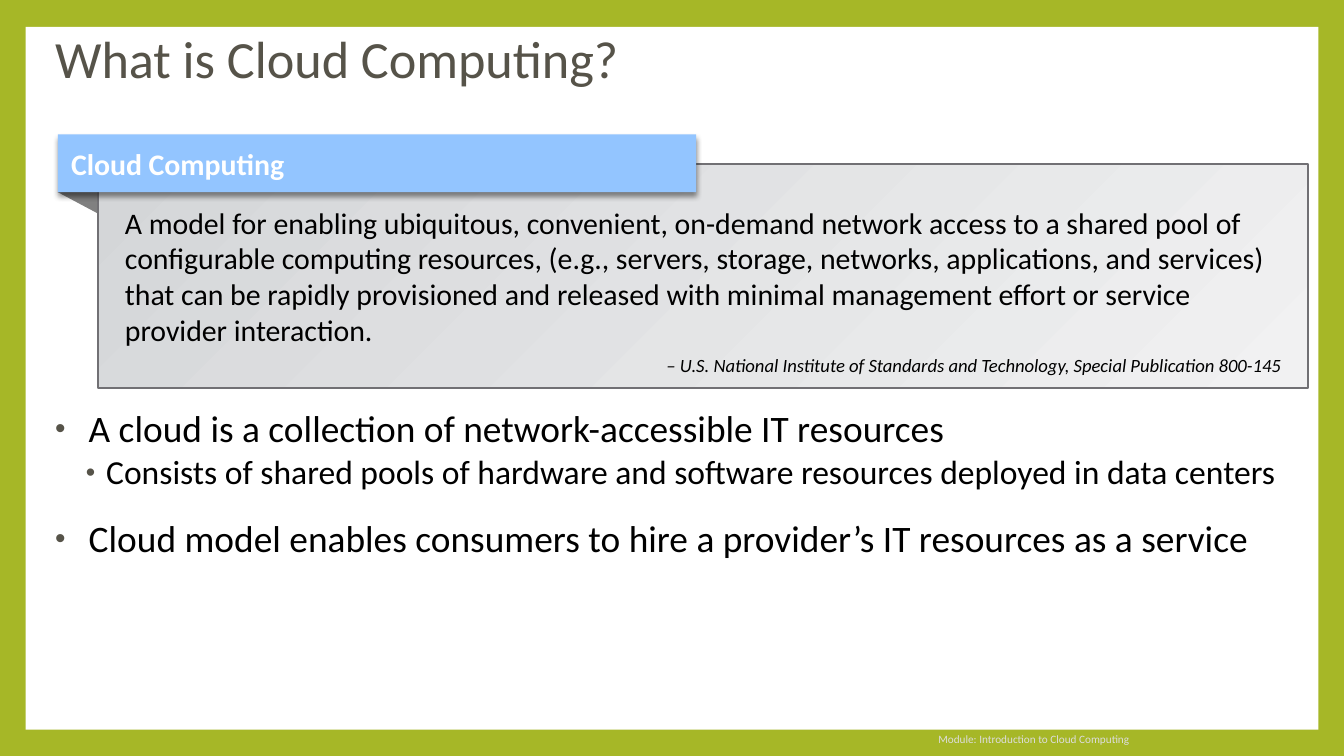
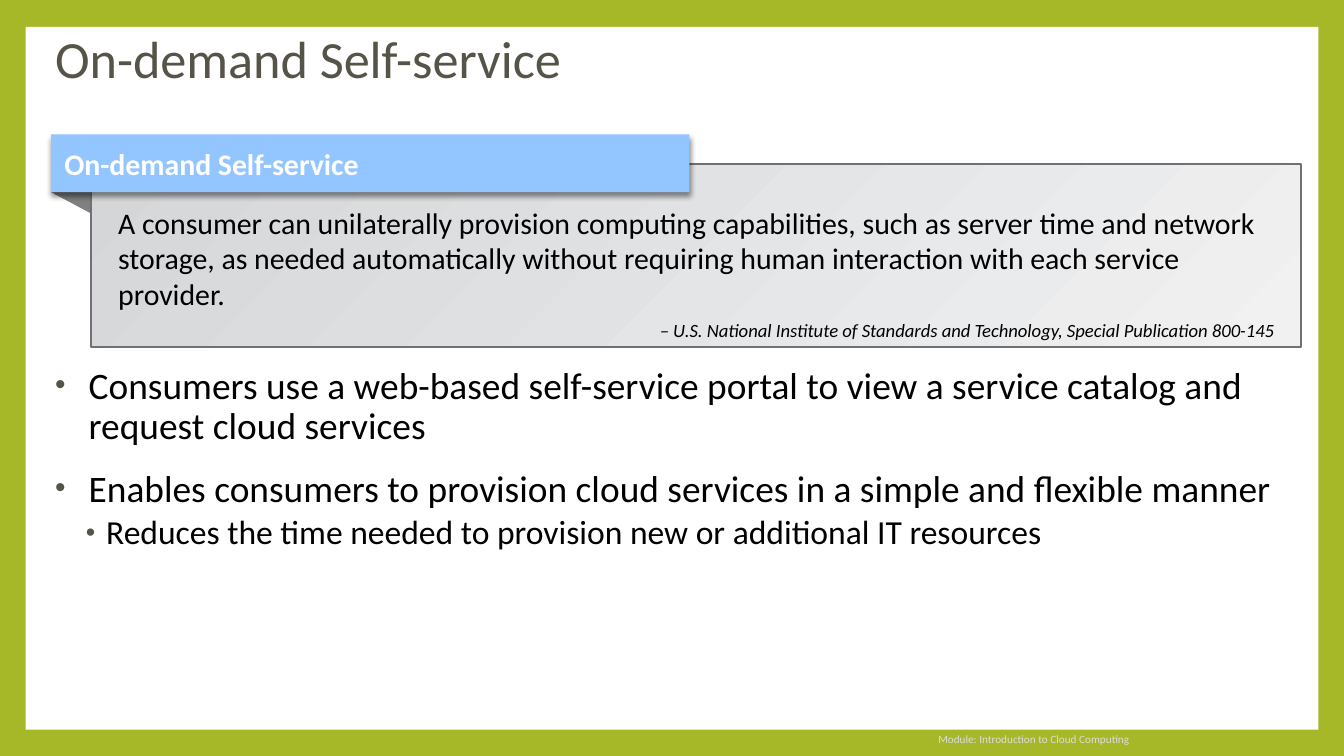
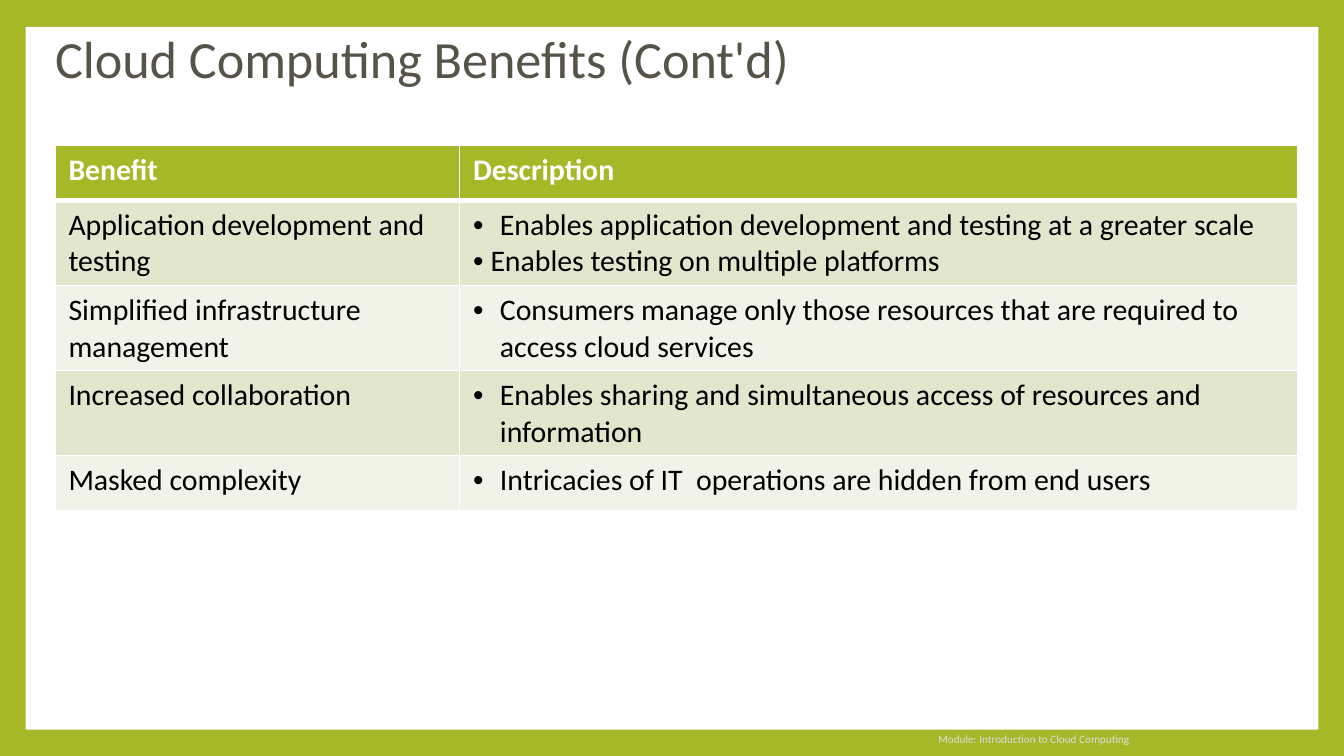
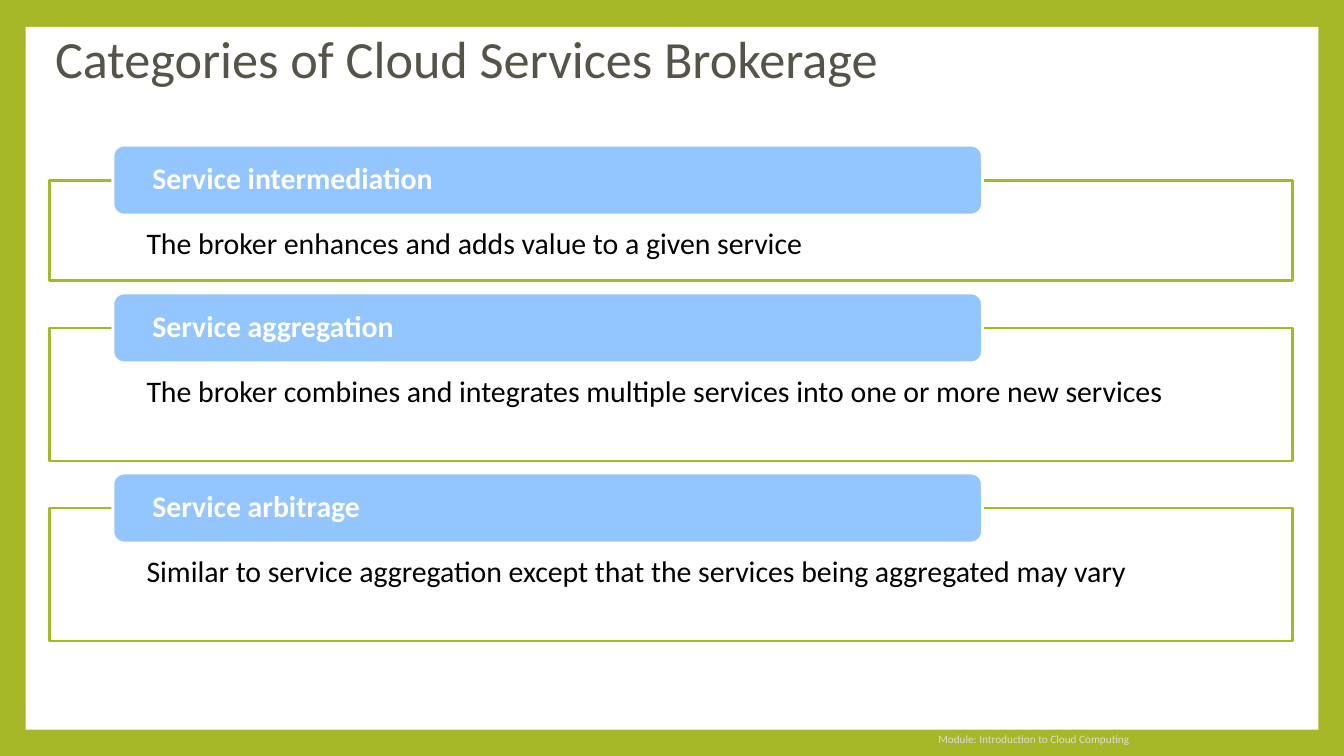
from lxml.etree import SubElement
from pptx import Presentation
from pptx.dml.color import RGBColor
from pptx.enum.shapes import MSO_SHAPE as Shape
from pptx.enum.text import MSO_ANCHOR as Anchor, PP_ALIGN as Align
from pptx.oxml.ns import qn
from pptx.util import Inches, Pt

GREEN = RGBColor(0xA6, 0xB7, 0x27)
WHITE = RGBColor(0xFF, 0xFF, 0xFF)
BLACK = RGBColor(0x00, 0x00, 0x00)
OLIVE = RGBColor(0x56, 0x53, 0x49)
SKY = RGBColor(0x93, 0xC5, 0xFF)
PALE = RGBColor(0xDD, 0xDD, 0xDD)
FOLD_GREY = RGBColor(0x80, 0x80, 0x80)
EDGE_GREY = RGBColor(0x71, 0x70, 0x74)
PANEL_DARK = RGBColor(0xD4, 0xD6, 0xD8)
PANEL_LIGHT = RGBColor(0xF1, 0xF1, 0xF2)
BANDS = (RGBColor(0xE1, 0xE6, 0xCD), RGBColor(0xF1, 0xF3, 0xE8))

FONT = "Calibri"
FOOTER = "Module: Introduction to Cloud Computing"
NIST = "– U.S. National Institute of Standards and Technology, Special Publication 800-145"

# The grid has square cells: 100 columns by 56.25 rows.
CELL = Inches(0.1)
COLUMNS, ROWS = 100, 56.25
LEFT, WIDTH = 4.1, 92.5


def grid(*lengths):
    return [round(CELL * length) for length in lengths]


def add_xml(parent, tag, **attributes):
    return SubElement(parent, qn(tag), {key: str(value) for key, value in attributes.items()})


class Page:
    """Holds the deck's style and the slide being drawn."""

    def __init__(self, deck, title):
        self.slide = deck.slides.add_slide(deck.slide_layouts[6])
        background = self.slide.background.fill
        background.solid()
        background.fore_color.rgb = GREEN
        self.shape(1.9, 2, 96.2, 52.3, fill=WHITE)
        heading = self.text_box(LEFT, 2.5, WIDTH, 5)
        self.paragraph(heading, title, 28, OLIVE, leading=0.9)
        footer = self.text_box(28.3, 54.2, 56.7, 1.5, (1, 0.5, 1, 0.5), Anchor.MIDDLE)
        self.paragraph(footer, FOOTER, 6, PALE, align=Align.RIGHT)

    def frame(self, holder, insets, anchor):
        frame = holder.text_frame
        frame.word_wrap = True
        frame.vertical_anchor = anchor
        (frame.margin_left, frame.margin_top,
         frame.margin_right, frame.margin_bottom) = grid(*insets)
        return frame

    def text_box(self, x, y, width, height, insets=(0, 0, 0, 0), anchor=Anchor.TOP):
        box = self.slide.shapes.add_textbox(*grid(x, y, width, height))
        return self.frame(box, insets, anchor)

    def shape(self, x, y, width, height, kind=Shape.RECTANGLE, fill=None, line=None, weight=1):
        shape = self.slide.shapes.add_shape(kind, *grid(x, y, width, height))
        self.paint(shape, fill, line, weight)
        return shape

    def paint(self, shape, fill, line=None, weight=1):
        shape.shadow.inherit = False
        if fill is not None:
            shape.fill.solid()
            shape.fill.fore_color.rgb = fill
        if line is None:
            shape.line.fill.background()
        else:
            shape.line.color.rgb = line
            shape.line.width = Pt(weight)

    def paragraph(self, frame, text, size, color=BLACK, bold=False, italic=False,
                  align=Align.LEFT, leading=None, before=0, after=0):
        """Fill the first paragraph if it is empty, else add one."""
        para = frame.paragraphs[0]
        if para.runs:
            para = frame.add_paragraph()
        para.alignment = align
        para.line_spacing = leading
        para.space_before, para.space_after = Pt(before), Pt(after)
        span = para.add_run()
        span.text = text
        font = span.font
        font.name, font.size, font.bold, font.italic = FONT, Pt(size), bold, italic
        font.color.rgb = color
        return para

    def bullet(self, para, margin, hang, color=None, percent=100):
        properties = para._p.get_or_add_pPr()
        margin, hang = grid(margin, hang)
        properties.set("marL", str(margin))
        properties.set("indent", str(-hang))
        if color is not None:
            add_xml(add_xml(properties, "a:buClr"), "a:srgbClr", val=color)
        add_xml(properties, "a:buSzPct", val=percent * 1000)
        add_xml(properties, "a:buFont", typeface="Arial")
        add_xml(properties, "a:buChar", char="•")

    def bullets(self, y, items):
        """Add (level, text) items to the body area."""
        body = self.text_box(LEFT, y, WIDTH, 48.3 - y)
        for level, text in items:
            if level == 0:
                para = self.paragraph(body, text, 20, leading=0.9, before=12)
                self.bullet(para, 2.5, 2.5, OLIVE, 80)
            else:
                para = self.paragraph(body, text, 18, leading=0.9, before=3, after=3)
                para.level = 1
                self.bullet(para, 3.8, 1.5, OLIVE, 80)

    def definition(self, x, height, term, meaning):
        """Draw a ribbon with a folded end over a quoted definition."""
        top, ribbon_height, fold = 10, 4.3, 3
        ribbon_bottom = top + ribbon_height
        outline = self.slide.shapes.build_freeform(*grid(x, ribbon_bottom))
        outline.add_line_segments([grid(x + fold, ribbon_bottom),
                                   grid(x + fold, ribbon_bottom + 1.6)])
        self.paint(outline.convert_to_shape(), FOLD_GREY)

        panel = self.shape(x + fold, 12.2, 90, height, line=EDGE_GREY)
        panel.fill.gradient()
        panel.fill.gradient_angle = 315
        for stop, color in zip(panel.fill.gradient_stops, (PANEL_DARK, PANEL_LIGHT)):
            stop.color.rgb = color
        quote = self.frame(panel, (2, 3, 2, 0.5), Anchor.TOP)
        self.paragraph(quote, meaning, 16)
        self.paragraph(quote, NIST, 10, italic=True, align=Align.RIGHT, before=3.6)

        ribbon = self.shape(x, top, 47.5, ribbon_height, fill=SKY)
        self.drop_shadow(ribbon)
        label = self.frame(ribbon, (1, 0.5, 1, 0.5), Anchor.MIDDLE)
        self.paragraph(label, term, 16, WHITE, bold=True)

    def drop_shadow(self, shape):
        effects = shape._element.spPr.find(qn("a:effectLst"))
        shadow = add_xml(effects, "a:outerShdw", blurRad=Pt(3), dist=Pt(2),
                         dir=90 * 60000, algn="t", rotWithShape=0)
        add_xml(add_xml(shadow, "a:srgbClr", val=BLACK), "a:alpha", val=45000)

    def table(self, y, widths, row_height, header, rows):
        """Each row is a name and a list of (text, hanging indent) points."""
        count = len(rows) + 1
        table = self.slide.shapes.add_table(
            count, len(widths), *grid(LEFT, y, sum(widths), row_height * count)).table
        table.horz_banding = False
        for column, width in zip(table.columns, grid(*widths)):
            column.width = width
        for cell, text in zip(table.rows[0].cells, header):
            self.style_cell(cell, GREEN, below=3)
            self.paragraph(cell.text_frame, text, 16, WHITE, bold=True)
        for index, (name, points) in enumerate(rows):
            name_cell, points_cell = table.rows[index + 1].cells
            for cell in (name_cell, points_cell):
                self.style_cell(cell, BANDS[index % 2], above=1 if index else 3)
            self.paragraph(name_cell.text_frame, name, 16)
            for text, hang in points:
                self.bullet(self.paragraph(points_cell.text_frame, text, 16), hang, hang)

    def style_cell(self, cell, fill, above=1, below=1):
        properties = cell._tc.get_or_add_tcPr()
        for side, weight in zip("LRTB", (1, 1, above, below)):
            border = add_xml(properties, f"a:ln{side}", w=Pt(weight))
            add_xml(add_xml(border, "a:solidFill"), "a:srgbClr", val=WHITE)
        cell.fill.solid()
        cell.fill.fore_color.rgb = fill

    def category(self, y, height, name, meaning):
        """Draw an outlined panel with a rounded tab across its top edge."""
        panel = self.shape(3.7, y, WIDTH, height, fill=WHITE, line=GREEN, weight=1.5)
        text = self.frame(panel, (7.2, 3.6, 7.2, 1.2), Anchor.TOP)
        self.paragraph(text, meaning, 16, leading=0.9)
        tab = self.shape(8.4, y - 2.6, 64.7, 5.2, Shape.ROUNDED_RECTANGLE, SKY, WHITE, 1.5)
        tab.adjustments[0] = 0.16
        label = self.frame(tab, (2.7, 0.3, 2.7, 0.3), Anchor.MIDDLE)
        self.paragraph(label, name, 16, WHITE, bold=True, leading=0.9)


def main():
    deck = Presentation()
    deck.slide_width, deck.slide_height = grid(COLUMNS, ROWS)

    page = Page(deck, "What is Cloud Computing?")
    page.bullets(30.5, [
        (0, "A cloud is a collection of network-accessible IT resources"),
        (1, "Consists of shared pools of hardware and software resources deployed in data centers"),
        (0, "Cloud model enables consumers to hire a provider’s IT resources as a service"),
    ])
    page.definition(
        4.3, 16.7, "Cloud Computing",
        "A model for enabling ubiquitous, convenient, on-demand network access to a shared "
        "pool of configurable computing resources, (e.g., servers, storage, networks, "
        "applications, and services) that can be rapidly provisioned and released with "
        "minimal management effort or service provider interaction.")

    page = Page(deck, "On-demand Self-service")
    page.bullets(27.3, [
        (0, "Consumers use a web-based self-service portal to view a service catalog and "
            "request cloud services"),
        (0, "Enables consumers to provision cloud services in a simple and flexible manner"),
        (1, "Reduces the time needed to provision new or additional IT resources"),
    ])
    page.definition(
        3.8, 13.6, "On-demand Self-service",
        "A consumer can unilaterally provision computing capabilities, such as server time "
        "and network storage, as needed automatically without requiring human interaction "
        "with each service provider.")

    page = Page(deck, "Cloud Computing Benefits (Cont'd)")
    page.table(10.8, (30.1, 62.4), 4.1, ("Benefit", "Description"), [
        ("Application development and testing", [
            ("Enables application development and testing at a greater scale", 2),
            ("Enables testing on multiple platforms", 1.3)]),
        ("Simplified infrastructure management", [
            ("Consumers manage only those resources that are required to access cloud services", 2)]),
        ("Increased collaboration", [
            ("Enables sharing and simultaneous access of resources and information", 2)]),
        ("Masked complexity", [
            ("Intricacies of IT  operations are hidden from end users", 2)]),
    ])

    page = Page(deck, "Categories of Cloud Services Brokerage")
    y, gap = 13.4, 3.5
    for height, name, meaning in (
        (7.5, "Service intermediation", "The broker enhances and adds value to a given service"),
        (9.9, "Service aggregation",
         "The broker combines and integrates multiple services into one or more new services"),
        (9.9, "Service arbitrage",
         "Similar to service aggregation except that the services being aggregated may vary"),
    ):
        page.category(y, height, name, meaning)
        y += height + gap

    deck.save("out.pptx")


if __name__ == "__main__":
    main()
